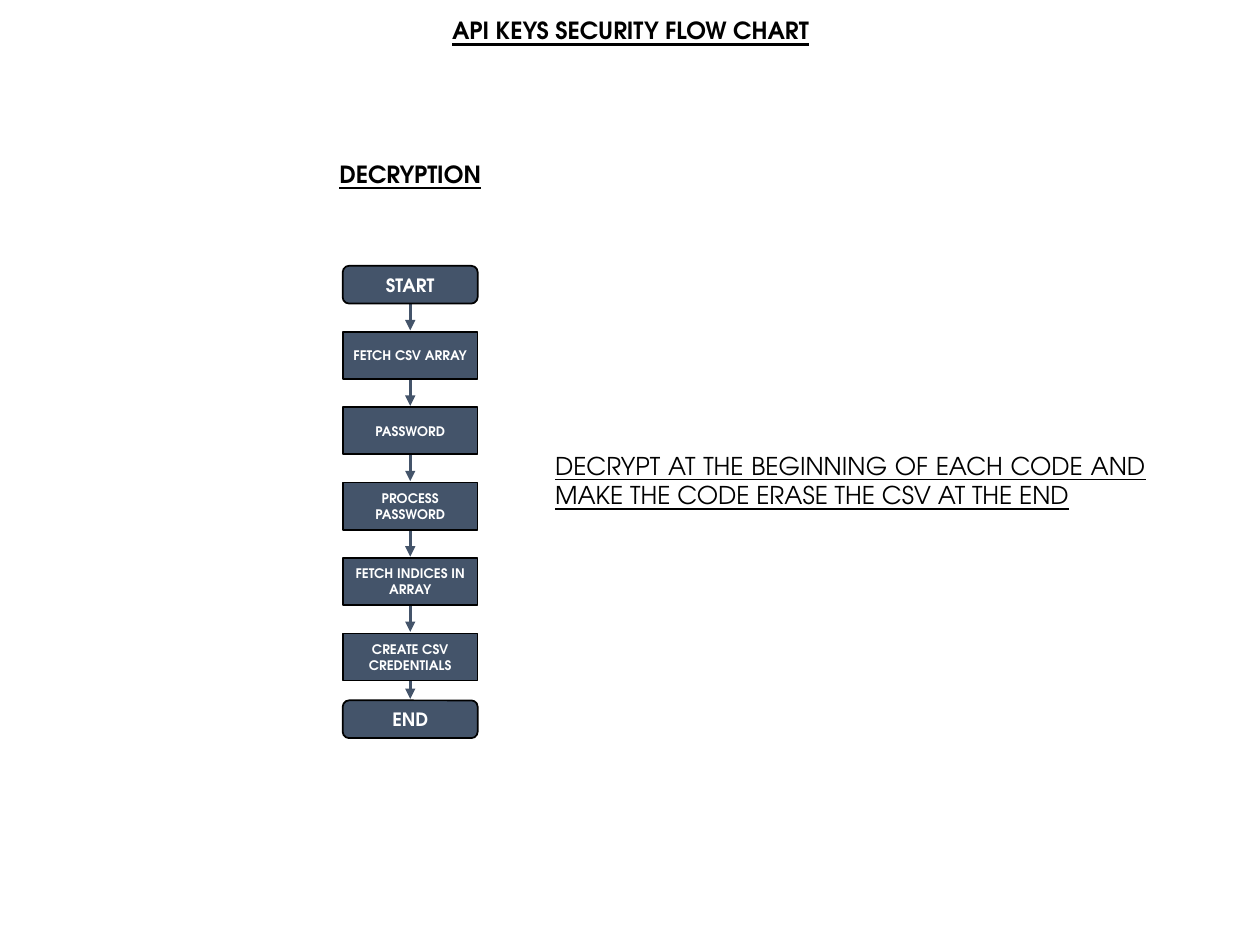
"""Build the API keys decryption flow chart slide."""
import pptx
import pptx.dml.color
import pptx.enum.shapes
import pptx.enum.text
import pptx.oxml
import pptx.util
from pptx.util import Cm

SLATE = pptx.dml.color.RGBColor(0x44, 0x54, 0x6A)
BLACK = pptx.dml.color.RGBColor(0, 0, 0)
WHITE = pptx.dml.color.RGBColor(255, 255, 255)
FONT = "TeX Gyre Adventor"
ALIGN = pptx.enum.text.PP_ALIGN
SHAPE = pptx.enum.shapes.MSO_SHAPE

HEADINGS = [
    ("API KEYS SECURITY FLOW CHART", (7.77, 0.23, 9.88, 0.84), 13.5, True, ALIGN.CENTER),
    ("DECRYPTION", (3.33, 3.12, 9.88, 0.84), 13.5, True, ALIGN.CENTER),
    ("DECRYPT AT THE BEGINNING OF EACH CODE AND MAKE THE CODE ERASE THE CSV AT THE END",
     (11, 8.99, 12.29, 2.03), 14, False, ALIGN.JUSTIFY),
]
STEPS = ["FETCH CSV ARRAY", "PASSWORD", "PROCESS PASSWORD",
         "FETCH INDICES IN ARRAY", "CREATE CSV CREDENTIALS"]

LEFT, WIDTH = 6.91, 2.72
TERMINAL_HEIGHT, STEP_HEIGHT = 0.76, 0.95
START_TOP, FIRST_STEP_TOP, END_TOP = 5.36, 6.69, 14.12
PITCH = 1.52
ARROW_GAP = 0.03


def write(s, text, size, color, bold, align, underline=False):
    tf = s.text_frame
    tf.word_wrap = True
    tf.margin_left = tf.margin_right = Cm(0.19)
    tf.margin_top = tf.margin_bottom = Cm(0.1)
    p = tf.paragraphs[0]
    p.text = text
    p.alignment = align
    p.font.name = FONT
    p.font.size = pptx.util.Pt(size)
    p.font.bold = bold
    p.font.underline = underline
    p.font.color.rgb = color
    return tf


def add_arrow(shapes, top, bottom):
    x = Cm(LEFT + WIDTH / 2)
    c = shapes.add_connector(pptx.enum.shapes.MSO_CONNECTOR.STRAIGHT,
                             x, Cm(top), x, Cm(bottom))
    c.line.color.rgb = SLATE
    c.line.width = pptx.util.Pt(1.5)
    tail = pptx.oxml.parse_xml(
        '<a:tailEnd xmlns:a="http://schemas.openxmlformats.org/drawingml/2006/main"'
        ' type="triangle"/>')
    c.line._get_or_add_ln().append(tail)
    c._element.spPr.append(pptx.oxml.xmlchemy.OxmlElement("a:effectLst"))


def add_box(shapes, text, kind, top, height, size):
    s = shapes.add_shape(kind, Cm(LEFT), Cm(top), Cm(WIDTH), Cm(height))
    s.shadow.inherit = False
    s.fill.solid()
    s.fill.fore_color.rgb = SLATE
    s.line.color.rgb = BLACK
    s.line.width = pptx.util.Pt(1)
    tf = write(s, text, size, WHITE, True, ALIGN.CENTER)
    tf.vertical_anchor = pptx.enum.text.MSO_ANCHOR.MIDDLE


prs = pptx.Presentation()
prs.slide_width, prs.slide_height = Cm(25.4), Cm(19.05)
shapes = prs.slides.add_slide(prs.slide_layouts[6]).shapes

for text, box, size, bold, align in HEADINGS:
    s = shapes.add_textbox(*map(Cm, box))
    write(s, text, size, BLACK, bold, align, underline=True)

boxes = [("START", SHAPE.ROUNDED_RECTANGLE, START_TOP, TERMINAL_HEIGHT, 10.5)]
boxes += [(text, SHAPE.RECTANGLE, FIRST_STEP_TOP + i * PITCH, STEP_HEIGHT, 7.5)
          for i, text in enumerate(STEPS)]
boxes.append(("END", SHAPE.ROUNDED_RECTANGLE, END_TOP, TERMINAL_HEIGHT, 10.5))

for (_, _, top, height, _), (_, _, next_top, _, _) in zip(boxes, boxes[1:]):
    add_arrow(shapes, top + height, next_top - ARROW_GAP)
for box in boxes:
    add_box(shapes, *box)

prs.save("out.pptx")
